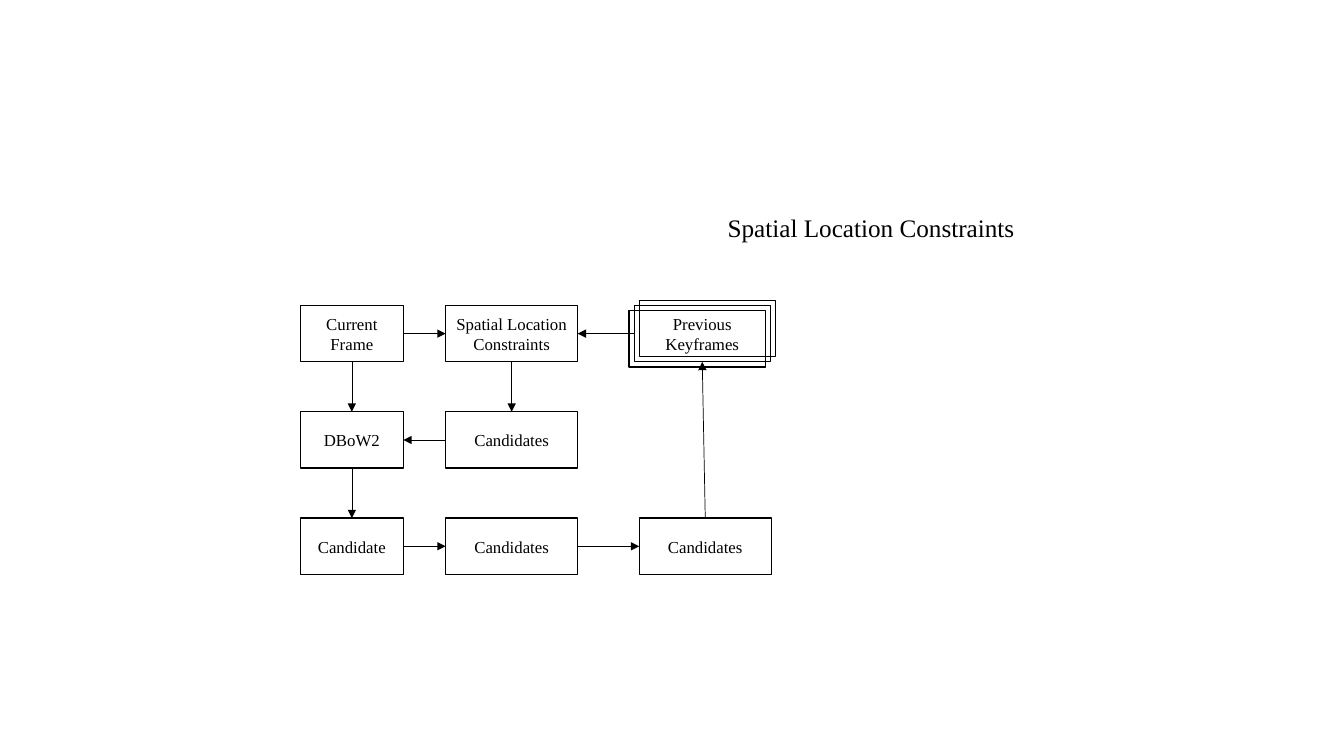
from lxml import etree
from pptx import Presentation
from pptx import util as u
from pptx.dml.color import RGBColor
from pptx.enum import shapes, text
from pptx.oxml.ns import qn

TOP, LEFT, BOTTOM, RIGHT = range(4)  # connection sites of a rectangle


def color(code):
    return RGBColor.from_string(code)


def write(frame, words, size=12, font="Times New Roman", ink="000000",
          anchor=text.MSO_ANCHOR.MIDDLE, wrap=True):
    frame.word_wrap = wrap
    frame.vertical_anchor = anchor
    para = frame.paragraphs[0]
    para.alignment = text.PP_ALIGN.CENTER
    run = para.add_run()
    run.text = words
    run.font.size = u.Pt(size)
    run.font.name = font
    run.font.color.rgb = color(ink)


class Chart:
    """Holds the style and the current slide of the flow chart."""
    ink = "000000"
    edge, thin = 1, 0.5

    def __init__(self, slide):
        self.slide = slide

    def title(self, words, x, y, w, h):
        head = self.slide.shapes.title
        head.left, head.top, head.width, head.height = map(u.Inches, (x, y, w, h))
        write(head.text_frame, words, size=18, anchor=text.MSO_ANCHOR.TOP, wrap=False)
        head.text_frame.auto_size = text.MSO_AUTO_SIZE.SHAPE_TO_FIT_TEXT

    def box(self, x, y, w, h, words="", fill=None):
        box = self.slide.shapes.add_shape(
            shapes.MSO_SHAPE.RECTANGLE, *map(u.Inches, (x, y, w, h)))
        box.shadow.inherit = False
        if fill:
            box.fill.solid()
            box.fill.fore_color.rgb = color(fill)
        else:
            box.fill.background()
        box.line.color.rgb = color(self.ink)
        box.line.width = u.Pt(self.edge)
        if words:
            write(box.text_frame, words, ink=self.ink)
        return box

    def arrow(self, start, out, end, into):
        link = self.slide.shapes.add_connector(
            shapes.MSO_CONNECTOR.STRAIGHT, 0, 0, 0, 0)
        link.begin_connect(start, out)
        link.end_connect(end, into)
        link.line.color.rgb = color(self.ink)
        link.line.width = u.Pt(self.thin)
        etree.SubElement(link.line._get_or_add_ln(), qn("a:tailEnd"), type="triangle")
        etree.SubElement(link._element.spPr, qn("a:effectLst"))


deck = Presentation()
deck.slide_width, deck.slide_height = u.Inches(13.33), u.Inches(7.5)
flow = Chart(deck.slides.add_slide(deck.slide_layouts[5]))

flow.title("Spatial Location Constraints", 7.1, 2.06, 3.08, 0.4)

# Grid: left edge and width of each column, top of each row
cols = [(2.98, 1.02), (4.42, 1.31), (6.34, 1.31)]
rows = [3.03 + 1.055 * i for i in range(3)]
tall = 0.56

# Stack of previous keyframes
stack, shift = (6.29, rows[0]), 0.05
keys = flow.box(*stack, 1.35, tall, "Previous Keyframes")
for step in (shift, -shift):
    flow.box(stack[0] + step, stack[1] - step, 1.35, tall)

# Boxes of the grid
names = {
    (0, 0): "Current Frame", (0, 1): "Spatial Location Constraints",
    (1, 0): "DBoW2", (1, 1): "Candidates",
    (2, 0): "Candidate", (2, 1): "Candidates", (2, 2): "Candidates",
}
cells = {}
for (row, col), name in names.items():
    x, w = cols[col]
    fill = "FFFFFF" if (row, col) == (0, 1) else None
    cells[row, col] = flow.box(x, rows[row], w, tall, name, fill)
cells[0, 2] = keys

# Arrows between the boxes
for start, out, end, into in [
    ((0, 0), RIGHT, (0, 1), LEFT),
    ((0, 2), LEFT, (0, 1), RIGHT),
    ((0, 1), BOTTOM, (1, 1), TOP),
    ((1, 1), LEFT, (1, 0), RIGHT),
    ((0, 0), BOTTOM, (1, 0), TOP),
    ((1, 0), BOTTOM, (2, 0), TOP),
    ((2, 0), RIGHT, (2, 1), LEFT),
    ((2, 1), RIGHT, (2, 2), LEFT),
    ((2, 2), TOP, (0, 2), BOTTOM),
]:
    flow.arrow(cells[start], out, cells[end], into)

deck.save("out.pptx")
